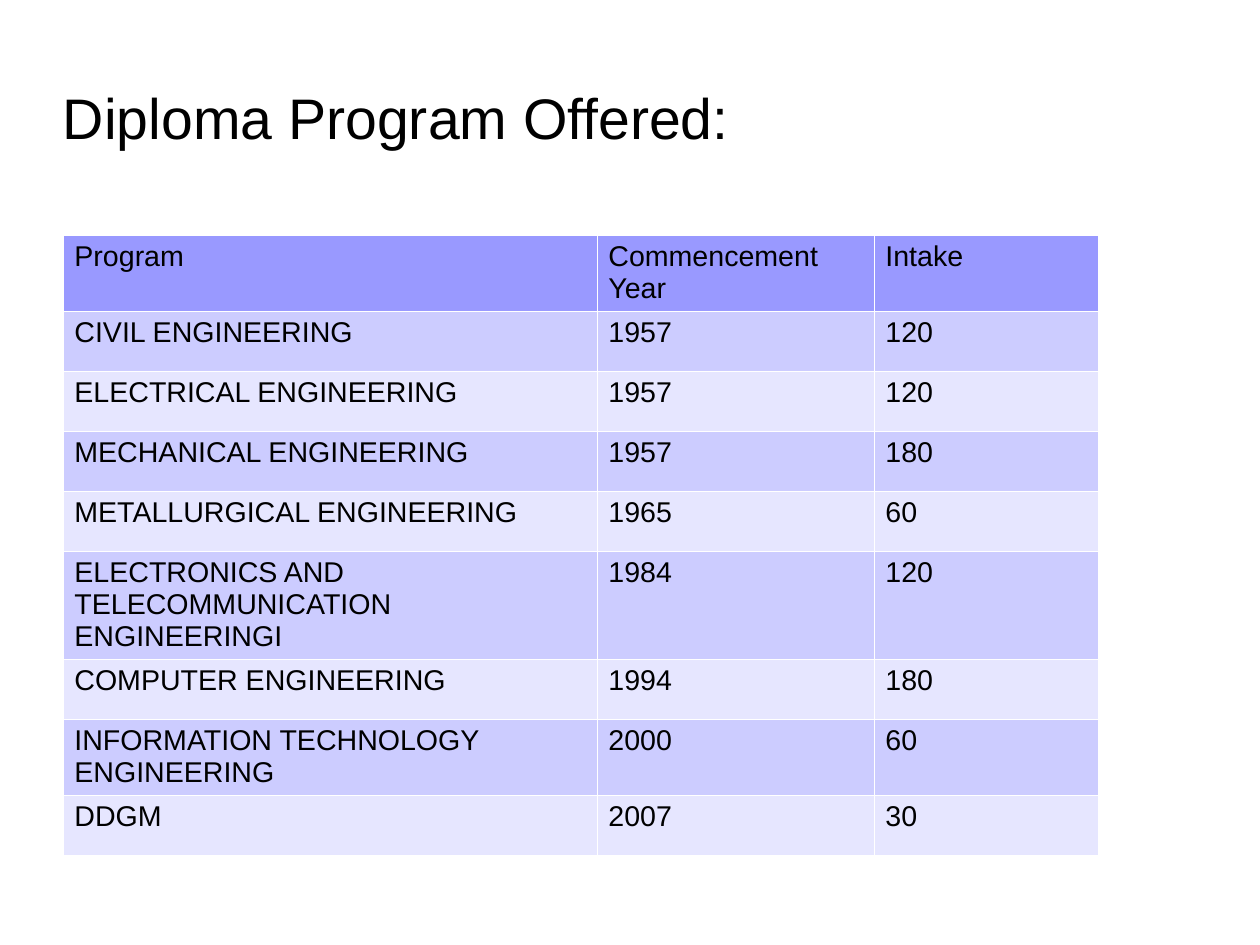
from lxml.etree import SubElement as Sub
from pptx import Presentation
from pptx.dml.color import RGBColor as Rgb
from pptx.enum.text import MSO_ANCHOR as Anchor
from pptx.oxml.ns import qn
from pptx.util import Emu, Pt

SCALE = 8000
FONT = "Arial"
COLORS = {
    "text": "000000",
    "line": "FFFFFF",
    "head": "9999FF",
    "odd": "CCCCFF",
    "even": "E6E6FF",
}
COLS = [534, 277, 224]
HIGH = {1: 60, 2: 76, 3: 108}
PROGRAMS = [
    ("Program", "Commencement Year", "Intake", 2),
    ("CIVIL ENGINEERING", "1957", "120", 1),
    ("ELECTRICAL ENGINEERING", "1957", "120", 1),
    ("MECHANICAL ENGINEERING", "1957", "180", 1),
    ("METALLURGICAL ENGINEERING", "1965", "60", 1),
    ("ELECTRONICS AND TELECOMMUNICATION ENGINEERINGI", "1984", "120", 3),
    ("COMPUTER ENGINEERING", "1994", "180", 1),
    ("INFORMATION TECHNOLOGY ENGINEERING", "2000", "60", 2),
    ("DDGM", "2007", "30", 1),
]


def px(n):
    return Emu(n * SCALE)


def style(frame, size):
    for run in frame.paragraphs[0].runs:
        run.font.name = FONT
        run.font.size = Pt(size)
        run.font.color.rgb = Rgb.from_string(COLORS["text"])


def border(cell):
    props = cell._tc.get_or_add_tcPr()
    for side in "LRTB":
        line = Sub(props, qn("a:ln" + side), w=str(Pt(0.06)))
        fill = Sub(line, qn("a:solidFill"))
        Sub(fill, qn("a:srgbClr"), val=COLORS["line"])


def add_title(slide, box, text):
    frame = slide.shapes.add_textbox(*map(px, box)).text_frame
    frame.margin_left = frame.margin_right = 0
    frame.margin_top = frame.margin_bottom = 0
    frame.word_wrap = True
    frame.vertical_anchor = Anchor.MIDDLE
    frame.text = text
    style(frame, 36)


def add_programs(slide, box):
    shape = slide.shapes.add_table(len(PROGRAMS), len(COLS), *map(px, box))
    table = shape.table
    for col, width in zip(table.columns, COLS):
        col.width = px(width)
    for i, (*texts, lines) in enumerate(PROGRAMS):
        table.rows[i].height = px(HIGH[lines])
        shade = "head" if i == 0 else "odd" if i % 2 else "even"
        for cell, text in zip(table.rows[i].cells, texts):
            cell.text_frame.text = text
            style(cell.text_frame, 18)
            border(cell)
            cell.fill.solid()
            cell.fill.fore_color.rgb = Rgb.from_string(COLORS[shade])


deck = Presentation()
deck.slide_width, deck.slide_height = px(1260), px(945)
slide = deck.slides.add_slide(deck.slide_layouts[6])
high = sum(HIGH[row[-1]] for row in PROGRAMS)
add_programs(slide, (63, 235, sum(COLS), high))
add_title(slide, (63, 38, 1134, 158), "Diploma Program Offered:")
deck.save("out.pptx")
